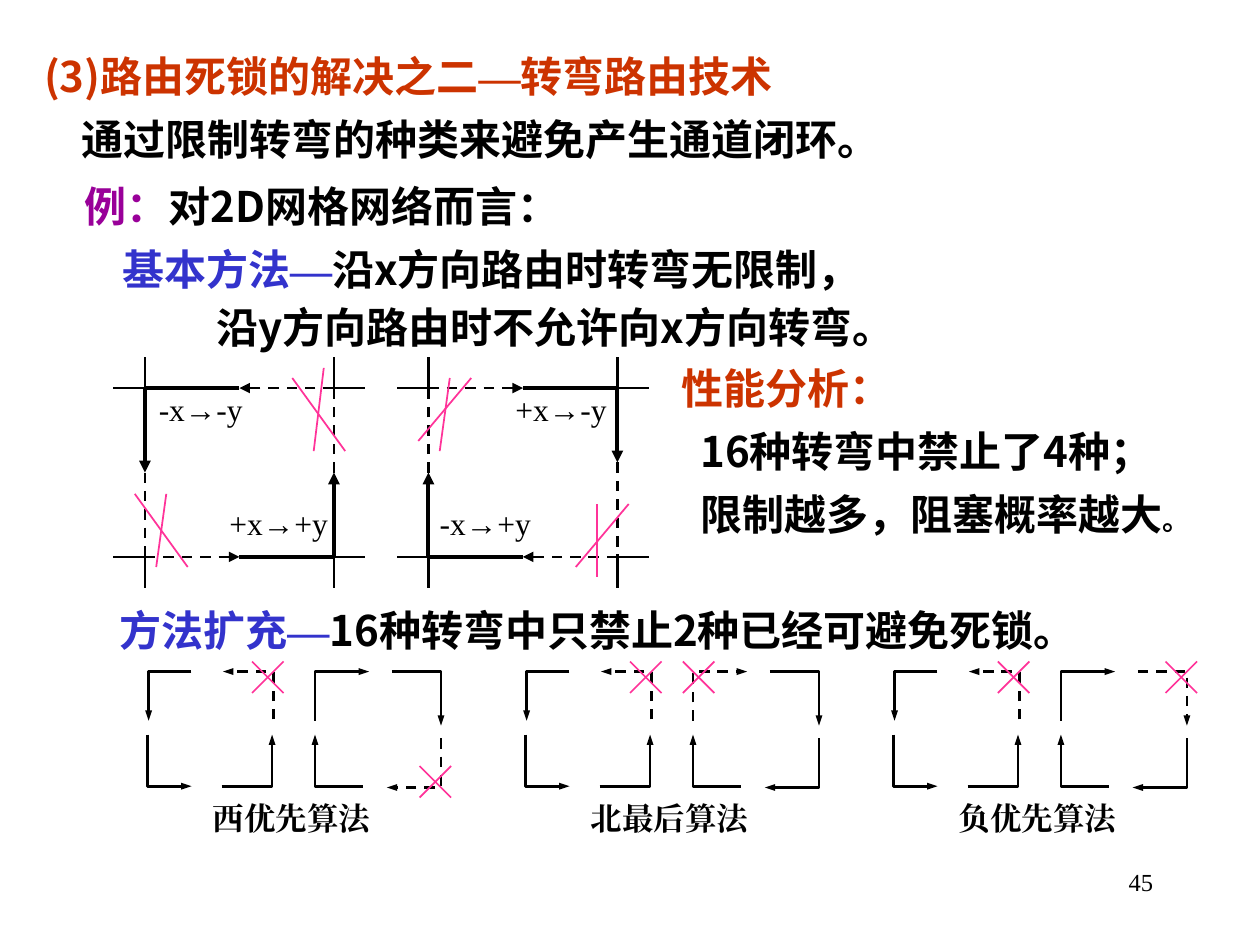
from lxml.etree import SubElement
from pptx import Presentation
from pptx.dml.color import RGBColor
from pptx.enum.dml import MSO_LINE
from pptx.enum.shapes import MSO_CONNECTOR
from pptx.enum.text import MSO_ANCHOR, MSO_AUTO_SIZE, PP_ALIGN
from pptx.oxml.ns import qn
from pptx.util import Inches, Pt

BLACK = RGBColor(0x00, 0x00, 0x00)
RED = RGBColor(0xCC, 0x33, 0x00)
BLUE = RGBColor(0x33, 0x33, 0xCC)
PURPLE = RGBColor(0x99, 0x00, 0x99)
PINK = RGBColor(0xFF, 0x33, 0x99)
SANS = "Noto Sans CJK SC"
SERIF = "Times New Roman"
STEP = 0.3  # one indent level, in inches


class Board:
    """Holds the style and the slide, and draws each kind of element."""

    def __init__(self, slide):
        self.slide = slide
        self.spot = slide.shapes

    def group(self):
        self.spot = self.slide.shapes.add_group_shape().shapes

    def ungroup(self):
        self.spot = self.slide.shapes

    def run(self, para, text, color=BLACK, face=SANS, size=24, bold=True):
        run = para.add_run()
        run.text = text
        font = run.font
        font.size, font.bold, font.name = Pt(size), bold, face
        font.color.rgb = color
        SubElement(run._r.get_or_add_rPr(), qn("a:ea"), typeface=face)

    def fill(self, shape, place, paras):
        """Each paragraph is (indent level, line spacing, runs)."""
        shape.left, shape.top, shape.width, shape.height = map(Inches, place)
        frame = shape.text_frame
        frame.word_wrap = True
        frame.auto_size = MSO_AUTO_SIZE.NONE
        frame.vertical_anchor = MSO_ANCHOR.TOP
        for i, (level, gap, runs) in enumerate(paras):
            para = frame.add_paragraph() if i else frame.paragraphs[0]
            para.alignment = PP_ALIGN.LEFT
            para.line_spacing = gap
            para.space_before = Pt(0)
            props = para._p.get_or_add_pPr()
            props.set("marL", str(Inches(level * STEP)))
            props.set("indent", "0")
            SubElement(props, qn("a:buNone"))
            for item in runs:
                self.run(para, *item)

    def text(self, place, paras):
        self.fill(self.spot.add_textbox(0, 0, 0, 0), place, paras)

    def label(self, place, text, size=18, bold=False, gap=1.0, wrap=False,
              pad=(0.02, 0.01), align=PP_ALIGN.LEFT):
        frame = self.spot.add_textbox(*map(Inches, place)).text_frame
        frame.word_wrap = wrap
        frame.margin_left = frame.margin_right = Inches(pad[0])
        frame.margin_top = frame.margin_bottom = Inches(pad[1])
        para = frame.paragraphs[0]
        para.alignment, para.line_spacing = align, gap
        self.run(para, text, BLACK, SERIF, size, bold)

    def ink(self, shape, color, width, dash, head):
        line = shape.line
        line.color.rgb, line.width = color, Pt(width)
        if dash:
            line.dash_style = MSO_LINE.DASH
        if head:
            ln = shape._element.spPr.find(qn("a:ln"))
            SubElement(ln, qn("a:tailEnd"), type="triangle", w=head, len="med")

    def line(self, x1, y1, x2, y2, color=BLACK, width=1.5, dash=False, head=None):
        line = self.spot.add_connector(
            MSO_CONNECTOR.STRAIGHT, *map(Inches, (x1, y1, x2, y2)))
        self.ink(line, color, width, dash, head)
        SubElement(line._element.spPr, qn("a:effectLst"))

    def cross(self, x, y, side=0.25):
        self.line(x + side, y, x, y + side, PINK, 1)
        self.line(x, y, x + side, y + side, PINK, 1)

    def turn(self, points, dash):
        start, *rest = [tuple(map(Inches, point)) for point in points]
        pen = self.spot.build_freeform(*start)
        pen.add_line_segments(rest, close=False)
        shape = pen.convert_to_shape()
        shape.fill.background()
        shape.shadow.inherit = False
        self.ink(shape, BLACK, 1.5, dash, "sm")


deck = Presentation()
deck.slide_width, deck.slide_height = Inches(10), Inches(7.5)
slide = deck.slides.add_slide(deck.slide_layouts[1])
board = Board(slide)

# Title and text
board.fill(slide.shapes.title, (0.25, 0.25, 9.5, 0.6), [
    (0, 1.25, [("(3)路由死锁的解决之二", RED), ("—", RED, SERIF),
               ("转弯路由技术", RED)])])
board.text((0.25, 0.75, 9.5, 0.6), [
    (1, 1.25, [("通过限制转弯的种类来避免产生通道闭环。",)])])
board.fill(slide.placeholders[1], (0.27, 1.28, 9.5, 1.56), [
    (1, 1.25, [("例：", PURPLE), ("对2D网格网络而言：",)]),
    (2, 1.25, [("基本方法", BLUE), ("—", BLUE, SERIF),
               ("沿x方向路由时转弯无限制，",)]),
    (4.5, 1.15, [("沿y方向路由时不允许向x方向转弯。",)])])
board.text((5.31, 2.73, 4.57, 1.6), [
    (0, 1.25, [("性能分析：", RED)]),
    (0.5, 1.25, [("16种转弯中禁止了4种；",)]),
    (0.5, 1.25, [("限制越多，阻塞概率越大",), ("。", BLACK, SANS, 16)])])
board.text((0.25, 4.65, 9.5, 0.6), [
    (2, 1.25, [("方法扩充", BLUE), ("—", BLUE, SERIF),
               ("16种转弯中只禁止2种已经可避免死锁。",)])])
board.label((7.17, 6.83, 2.08, 0.5), "45", 14, wrap=True, pad=(0.1, 0.05),
            align=PP_ALIGN.RIGHT)

# Basic method: two squares with stubs at the corners
TOP, MID, LOW, STUB = 3.08, 3.75, 4.42, 0.25
A, B, C, D = 1.15, 2.65, 3.4, 4.9
board.group()
for x, dx in ((A, -STUB), (B, STUB), (C, -STUB), (D, STUB)):
    for y, dy in ((TOP, -STUB), (LOW, STUB)):
        board.line(x, y, x + dx, y)
        board.line(x, y, x, y + dy)

# Allowed turns: plain run along x, then an arrow along y
for x, far, y, end in ((A, 1.9, TOP, MID), (B, 1.9, LOW, MID),
                       (C, 4.15, LOW, MID), (D, 4.15, TOP, 3.67)):
    board.line(far, y, x, y, width=2.25)
    board.line(x, y, x, end, width=2.25, head="med")

# Forbidden turns: dashed run along y, then a dashed arrow along x
for x, far, y, end in ((A, 1.9, LOW, MID), (B, 1.9, TOP, MID),
                       (C, 4.15, TOP, MID), (D, 4.15, LOW, 3.67)):
    board.line(x, end, x, y, dash=True)
    board.line(x, y, far, y, dash=True, head="med")

for mark in ((4.99, 4, 4.57, 4.5), (4.74, 4, 4.74, 4.58),
             (3.74, 3, 3.32, 3.5), (3.57, 3, 3.49, 3.58),
             (2.57, 2.92, 2.49, 3.58), (2.32, 3, 2.74, 3.58),
             (1.32, 3.92, 1.24, 4.5), (1.07, 3.92, 1.49, 4.5)):
    board.line(*mark, PINK, 1)

for x, y, width, name in ((1.8, 4.04, 0.85, "+x→+y"), (1.24, 3.13, 0.75, "-x→-y"),
                          (4.07, 3.13, 0.83, "+x→-y"), (3.47, 4.04, 0.77, "-x→+y")):
    board.label((x, y, width, 0.29), name, gap=0.85)

# Extended method: eight turns for each algorithm
TURNS = {
    "left nw": ((1.52, 5.33), (1.18, 5.33), (1.18, 5.72)),
    "left sw": ((1.17, 5.83), (1.17, 6.24), (1.52, 6.24)),
    "left se": ((1.76, 6.24), (2.16, 6.24), (2.16, 5.83)),
    "left ne": ((2.17, 5.71), (2.17, 5.33), (1.77, 5.33)),
    "right sw": ((2.88, 6.24), (2.5, 6.24), (2.5, 5.83)),
    "right nw": ((2.5, 5.72), (2.5, 5.33), (2.93, 5.33)),
    "right ne": ((3.11, 5.33), (3.5, 5.33), (3.5, 5.76)),
    "right se": ((3.5, 5.86), (3.5, 6.25), (3.07, 6.25)),
}
CROSSES = {"left ne": (2, 5.25), "right nw": (2.42, 5.25),
           "right ne": (3.33, 5.25), "right se": (3.33, 6.08)}
board.group()
for name, shift, ban in (("西优先算法", 0, "right se"),
                         ("北最后算法", 3, "right nw"),
                         ("负优先算法", 5.92, "right ne")):
    bans = ("left ne", ban)
    for key, points in TURNS.items():
        board.turn([(x + shift, y) for x, y in points], key in bans)
    for key in bans:
        x, y = CROSSES[key]
        board.cross(x + shift, y)
    board.label((1.67 + shift, 6.33, 1.33, 0.33), name, bold=True, wrap=True)
board.ungroup()

deck.save("out.pptx")
